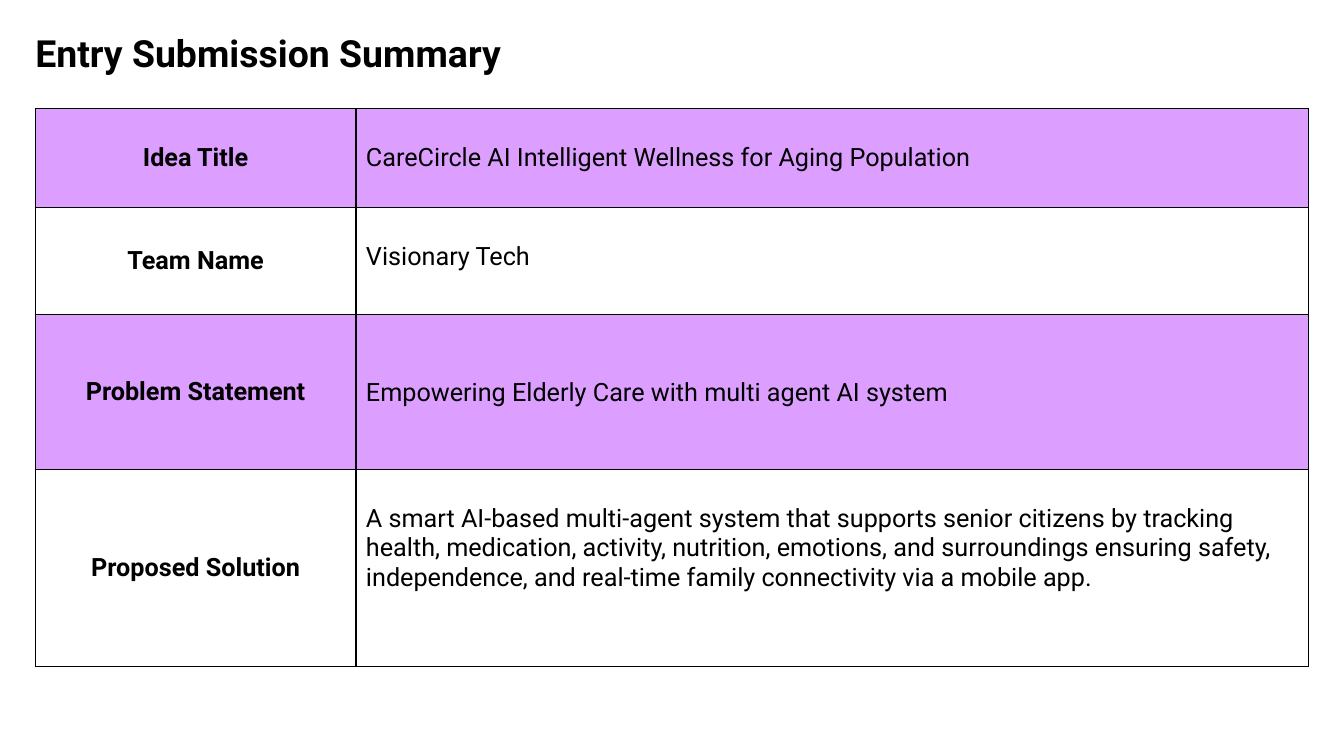
from lxml import etree
from pptx import Presentation
from pptx import util as u
from pptx.dml import color
from pptx.enum import text
from pptx.oxml import ns

ROWS = [
    ("Idea Title", "CareCircle AI Intelligent Wellness for Aging Population", 0.98, 1),
    ("Team Name", "Visionary Tech", 1.06, 1),
    ("Problem Statement", "Empowering Elderly Care with multi agent AI system", 1.54, 2),
    ("Proposed Solution",
     "A smart AI-based multi-agent system that supports senior citizens by "
     "tracking health, medication, activity, nutrition, emotions, and "
     "surroundings ensuring safety, independence, and real-time family "
     "connectivity via a mobile app.", 1.95, 1),
]
COLUMNS = [3.18, 9.45]
LINE_HEIGHT = 0.29


def rgb(value):
    return color.RGBColor.from_string(value)


def write(frame, words, size=18, bold=False, align=text.PP_ALIGN.LEFT, spacing=None):
    para = frame.paragraphs[0]
    para.alignment = align
    if spacing:
        para.line_spacing = spacing
    span = para.add_run()
    span.text = words
    span.font.name = SummaryPage.font
    span.font.size = u.Pt(size)
    span.font.bold = bold
    span.font.color.rgb = rgb(SummaryPage.ink)


class SummaryPage:
    font = "Roboto"
    ink = "000000"
    bands = ["DD9FFF", "FFFFFF"]

    def __init__(self, deck):
        self.page = deck.slides.add_slide(deck.slide_layouts[6])

    def title(self, words, left, top, width, height):
        box = self.page.shapes.add_textbox(*map(u.Inches, (left, top, width, height)))
        frame = box.text_frame
        frame.word_wrap = True
        frame.margin_left = frame.margin_top = frame.margin_bottom = 0
        frame.margin_right = u.Inches(0.13)
        write(frame, words, size=26.7, bold=True, spacing=0.8)

    def table(self, rows, columns, left, top):
        height = sum(row[2] for row in rows)
        frame = self.page.shapes.add_table(
            len(rows), len(columns),
            *map(u.Inches, (left, top, sum(columns), height)))
        table = frame.table
        for column, width in zip(table.columns, columns):
            column.width = u.Inches(width)
        for index, (label, value, row_height, lines_above) in enumerate(rows):
            table.rows[index].height = u.Inches(row_height)
            name_cell, value_cell = table.rows[index].cells
            name_cell.vertical_anchor = text.MSO_ANCHOR.MIDDLE
            write(name_cell.text_frame, label, bold=True, align=text.PP_ALIGN.CENTER)
            value_cell.vertical_anchor = text.MSO_ANCHOR.TOP
            value_cell.margin_top = u.Inches(0.05 + lines_above * LINE_HEIGHT)
            write(value_cell.text_frame, value)
            for cell in (name_cell, value_cell):
                self.border(cell)
                cell.fill.solid()
                cell.fill.fore_color.rgb = rgb(self.bands[index % 2])

    def border(self, cell):
        properties = cell._tc.get_or_add_tcPr()
        for side in ("a:lnL", "a:lnR", "a:lnT", "a:lnB"):
            line = etree.SubElement(properties, ns.qn(side), w=str(u.Pt(1)))
            fill = etree.SubElement(line, ns.qn("a:solidFill"))
            etree.SubElement(fill, ns.qn("a:srgbClr"), val=self.ink)


def main():
    deck = Presentation()
    deck.slide_width = u.Inches(13.33)
    deck.slide_height = u.Inches(7.5)
    summary = SummaryPage(deck)
    summary.title("Entry Submission Summary", 0.35, 0.39, 12.29, 0.93)
    summary.table(ROWS, COLUMNS, 0.35, 1.08)
    deck.save("out.pptx")


if __name__ == "__main__":
    main()
